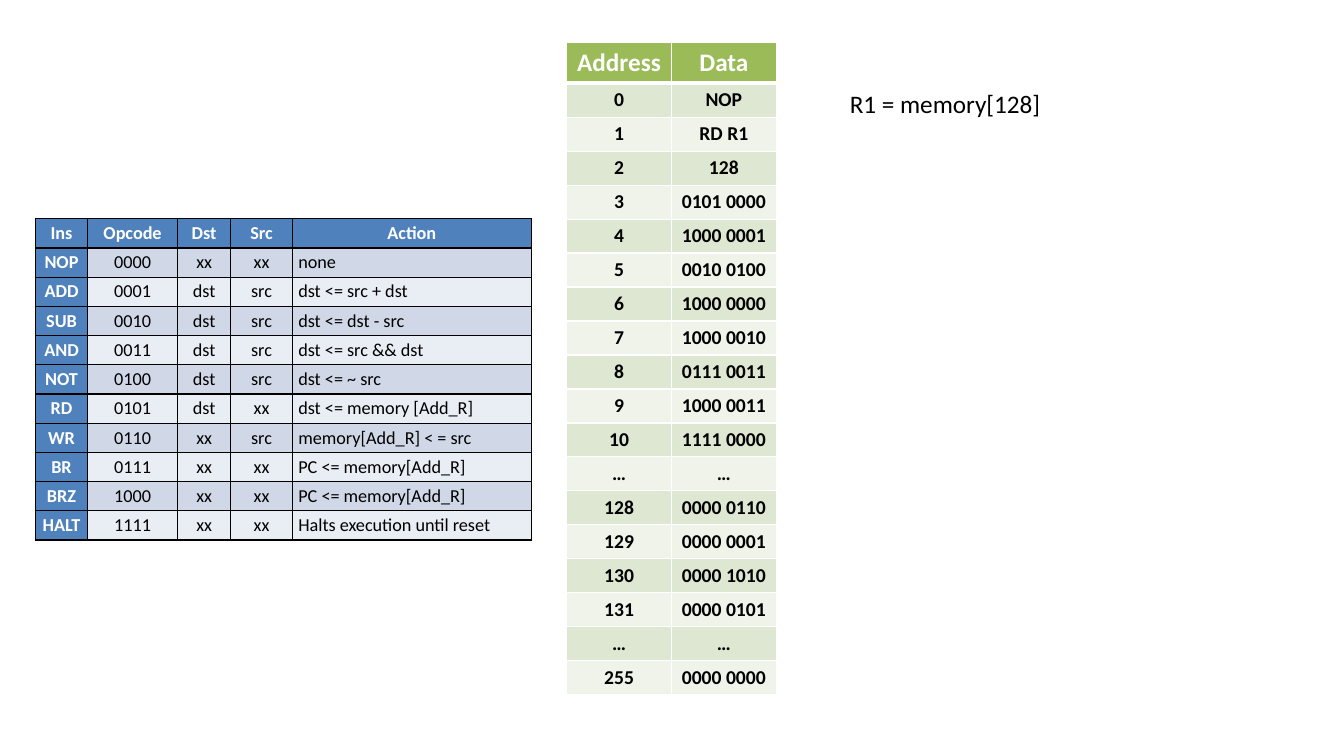
import pptx
import pptx.dml.color
import pptx.enum.text
import pptx.oxml
import pptx.oxml.ns
import pptx.util

COLORS = {
    "white": "FFFFFF",
    "black": "000000",
    "green": "9BBB59",
    "green_bands": ("DEE7D1", "EFF3EA"),
    "blue": "4F81BD",
    "blue_bands": ("D0D8E8", "E9EDF4"),
}

MEMORY = [
    ("Address", "Data"),
    ("0", "NOP"),
    ("1", "RD R1"),
    ("2", "128"),
    ("3", "0101 0000"),
    ("4", "1000 0001"),
    ("5", "0010 0100"),
    ("6", "1000 0000"),
    ("7", "1000 0010"),
    ("8", "0111 0011"),
    ("9", "1000 0011"),
    ("10", "1111 0000"),
    ("…", "…"),
    ("128", "0000 0110"),
    ("129", "0000 0001"),
    ("130", "0000 1010"),
    ("131", "0000 0101"),
    ("…", "…"),
    ("255", "0000 0000"),
]

INSTRUCTIONS = [
    ("Ins", "Opcode", "Dst", "Src", "Action"),
    ("NOP", "0000", "xx", "xx", "none"),
    ("ADD", "0001", "dst", "src", "dst <= src + dst"),
    ("SUB", "0010", "dst", "src", "dst <= dst - src"),
    ("AND", "0011", "dst", "src", "dst <= src && dst"),
    ("NOT", "0100", "dst", "src", "dst <= ~ src"),
    ("RD", "0101", "dst", "xx", "dst <= memory [Add_R]"),
    ("WR", "0110", "xx", "src", "memory[Add_R] < = src"),
    ("BR", "0111", "xx", "xx", "PC <= memory[Add_R]"),
    ("BRZ", "1000", "xx", "xx", "PC <= memory[Add_R]"),
    ("HALT", "1111", "xx", "xx", "Halts execution until reset"),
]

CENTER = pptx.enum.text.PP_ALIGN.CENTER
LEFT = pptx.enum.text.PP_ALIGN.LEFT


class SlideBuilder:
    font = "Calibri"
    scale = 9144

    def __init__(self, presentation):
        presentation.slide_width = self.px(1333)
        presentation.slide_height = self.px(750)
        self.slide = presentation.slides.add_slide(presentation.slide_layouts[6])

    def px(self, length):
        return pptx.util.Emu(length * self.scale)

    def set_text(self, text_frame, text, size, color="black", bold=False, align=LEFT):
        text_frame.text = text
        paragraph = text_frame.paragraphs[0]
        paragraph.alignment = align
        font = paragraph.runs[0].font
        font.name = self.font
        font.size = pptx.util.Pt(size)
        font.bold = bold
        font.color.rgb = pptx.dml.color.RGBColor.from_string(COLORS[color])

    def text_box(self, left, top, width, height, text, size):
        box = self.slide.shapes.add_textbox(*map(self.px, (left, top, width, height)))
        box.text_frame.word_wrap = True
        self.set_text(box.text_frame, text, size)

    def table(self, left, top, column_widths, row_heights):
        frame = self.slide.shapes.add_table(
            len(row_heights), len(column_widths), self.px(left), self.px(top),
            self.px(sum(column_widths)), self.px(sum(row_heights)))
        table = frame.table
        for column, width in zip(table.columns, column_widths):
            column.width = self.px(width)
        for row, height in zip(table.rows, row_heights):
            row.height = self.px(height)
        return table

    def style_cell(self, cell, fill, border, bottom=1):
        properties = cell._tc.get_or_add_tcPr()
        for side, points in (("L", 1), ("R", 1), ("T", 1), ("B", bottom)):
            properties.append(pptx.oxml.parse_xml(
                f'<a:ln{side} {pptx.oxml.ns.nsdecls("a")} w="{pptx.util.Pt(points)}">'
                f'<a:solidFill><a:srgbClr val="{COLORS[border]}"/></a:solidFill>'
                f'</a:ln{side}>'))
        cell.fill.solid()
        cell.fill.fore_color.rgb = pptx.dml.color.RGBColor.from_string(fill)

    def memory_table(self, left, top):
        heights = [40] + [33] * (len(MEMORY) - 1)
        table = self.table(left, top, [104, 104], heights)
        for row, values in enumerate(MEMORY):
            header = row == 0
            fill = COLORS["green"] if header else COLORS["green_bands"][(row - 1) % 2]
            for column, value in enumerate(values):
                cell = table.cell(row, column)
                self.style_cell(cell, fill, "white", 3 if header else 1)
                self.set_text(cell.text_frame, value, 18 if header else 14,
                              "white" if header else "black", True, CENTER)

    def instruction_table(self, left, top):
        table = self.table(left, top, [52, 89, 53, 61, 237], [29] * len(INSTRUCTIONS))
        for row, values in enumerate(INSTRUCTIONS):
            for column, value in enumerate(values):
                cell = table.cell(row, column)
                heading = row == 0 or column == 0
                band = COLORS["blue_bands"][(row - 1) % 2]
                self.style_cell(cell, COLORS["blue"] if heading else band, "black")
                cell.margin_left = cell.margin_right = self.px(6)
                cell.margin_top = cell.margin_bottom = 0
                cell.vertical_anchor = pptx.enum.text.MSO_ANCHOR.MIDDLE
                self.set_text(cell.text_frame, value, 13,
                              "white" if heading else "black", heading,
                              LEFT if row and column == 4 else CENTER)


def main():
    presentation = pptx.Presentation()
    builder = SlideBuilder(presentation)
    builder.memory_table(562, 42)
    builder.instruction_table(35, 217)
    builder.text_box(833, 83, 333, 40, "R1 = memory[128]", 18)
    presentation.save("out.pptx")


if __name__ == "__main__":
    main()
